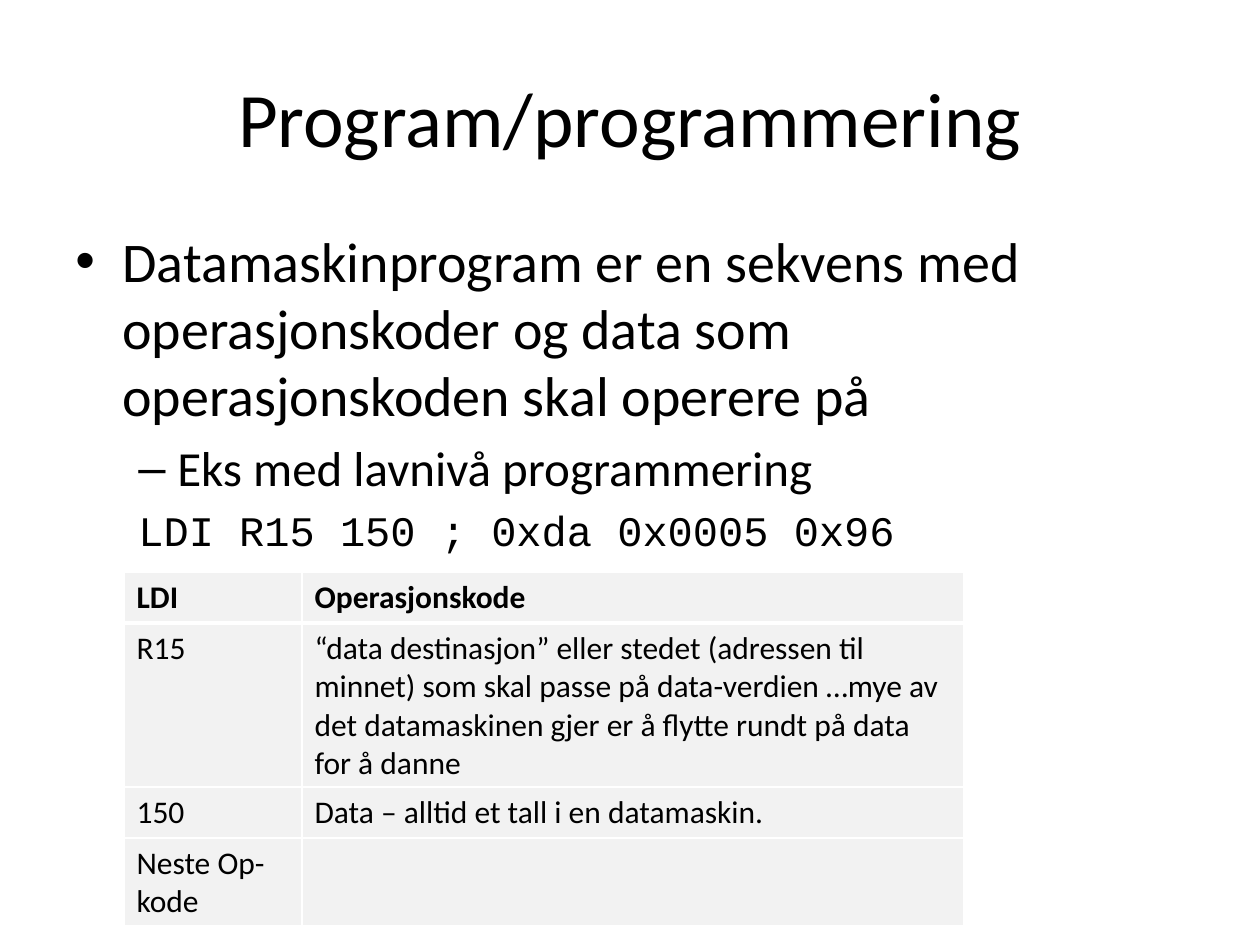
from lxml import etree
from pptx import Presentation
from pptx.dml.color import RGBColor
from pptx.enum.text import MSO_ANCHOR, PP_ALIGN
from pptx.oxml.ns import qn
from pptx.util import Pt

CENTER, LEFT = PP_ALIGN.CENTER, PP_ALIGN.LEFT
MIDDLE, TOP = MSO_ANCHOR.MIDDLE, MSO_ANCHOR.TOP
PX = 914400 / 126
COLORS = {"text": "000000", "cell": "F2F2F2", "border": "FFFFFF"}


def px(length):
    return round(length * PX)


def write(paragraph, text, size=18, font="Calibri", bold=False, align=LEFT,
          margin=0, indent=0, bullet=None, space_before=0):
    paragraph.alignment = align
    paragraph.space_before = Pt(space_before)
    run = paragraph.add_run()
    run.text = text
    run.font.size = Pt(size)
    run.font.name = font
    run.font.bold = bold
    run.font.color.rgb = RGBColor.from_string(COLORS["text"])
    properties = paragraph._p.get_or_add_pPr()
    properties.set("marL", str(px(margin)))
    properties.set("indent", str(px(indent)))
    if bullet:
        etree.SubElement(properties, qn("a:buFont")).set("typeface", "Arial")
        etree.SubElement(properties, qn("a:buChar")).set("char", bullet)
    else:
        etree.SubElement(properties, qn("a:buNone"))


presentation = Presentation()
presentation.slide_width, presentation.slide_height = px(1260), px(945)
slide = presentation.slides.add_slide(presentation.slide_layouts[6])

# Title and body frames
frames = []
for top, height, anchor in [(38, 157, MIDDLE), (220, 624, TOP)]:
    box = slide.shapes.add_textbox(px(63), px(top), px(1134), px(height))
    box.text_frame.word_wrap = True
    box.text_frame.vertical_anchor = anchor
    frames.append(box.text_frame)
title, body = frames
write(title.paragraphs[0], "Program/programmering", size=44, align=CENTER)

# Body text, each paragraph set off by a fifth of its size
write(body.paragraphs[0],
      "Datamaskinprogram er en sekvens med operasjonskoder og data som "
      "operasjonskoden skal operere på",
      size=32, margin=47, indent=-47, bullet="•", space_before=6.4)
example = body.add_paragraph()
example.level = 1
write(example, "Eks med lavnivå programmering",
      size=28, margin=102, indent=-39, bullet="–", space_before=5.6)
code = body.add_paragraph()
code.level = 1
write(code, "LDI R15 150 ; 0xda 0x0005 0x96",
      size=24, font="Courier New", margin=63, space_before=4.8)

# Instruction table
ROWS = [
    ("LDI", "Operasjonskode"),
    ("R15", "“data destinasjon” eller stedet (adressen til minnet) som skal "
            "passe på data-verdien …mye av det datamaskinen gjer er å flytte "
            "rundt på data for å danne"),
    ("150", "Data – alltid et tall i en datamaskin."),
    ("Neste Op-kode", ""),
]
COLUMN_WIDTHS = [178, 662]
ROW_HEIGHT = 51
table = slide.shapes.add_table(
    len(ROWS), len(COLUMN_WIDTHS), px(124), px(572),
    px(sum(COLUMN_WIDTHS)), px(ROW_HEIGHT * len(ROWS))).table
for column, width in zip(table.columns, COLUMN_WIDTHS):
    column.width = px(width)

for row_index, texts in enumerate(ROWS):
    table.rows[row_index].height = px(ROW_HEIGHT)
    for column_index, text in enumerate(texts):
        cell = table.cell(row_index, column_index)
        if text:
            write(cell.text_frame.paragraphs[0], text, bold=row_index == 0)
        # White borders, thick on the line under the header
        properties = cell._tc.get_or_add_tcPr()
        for side in ("L", "R", "T", "B"):
            thick = (row_index, side) in [(0, "B"), (1, "T")]
            line = etree.SubElement(properties, qn("a:ln" + side))
            line.set("w", str(Pt(3 if thick else 1)))
            fill = etree.SubElement(line, qn("a:solidFill"))
            etree.SubElement(fill, qn("a:srgbClr")).set("val", COLORS["border"])
        cell.fill.solid()
        cell.fill.fore_color.rgb = RGBColor.from_string(COLORS["cell"])

presentation.save("out.pptx")
